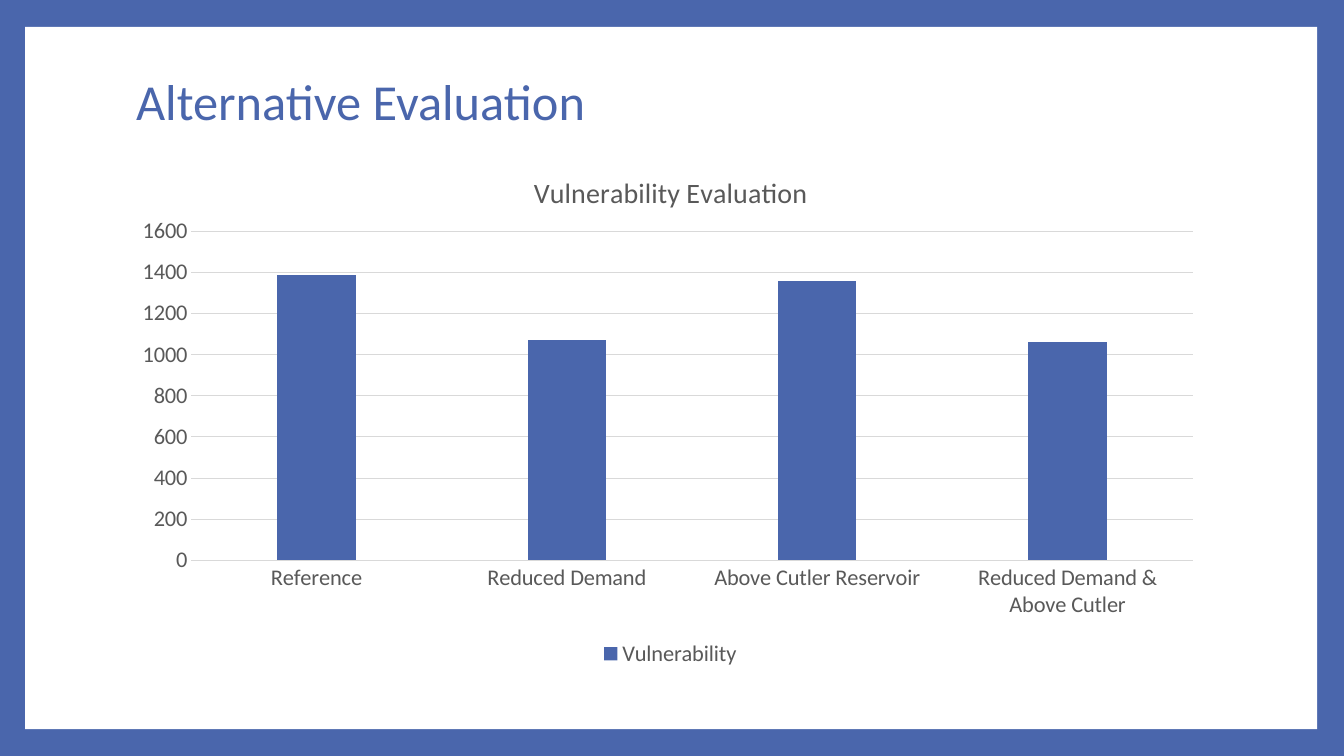
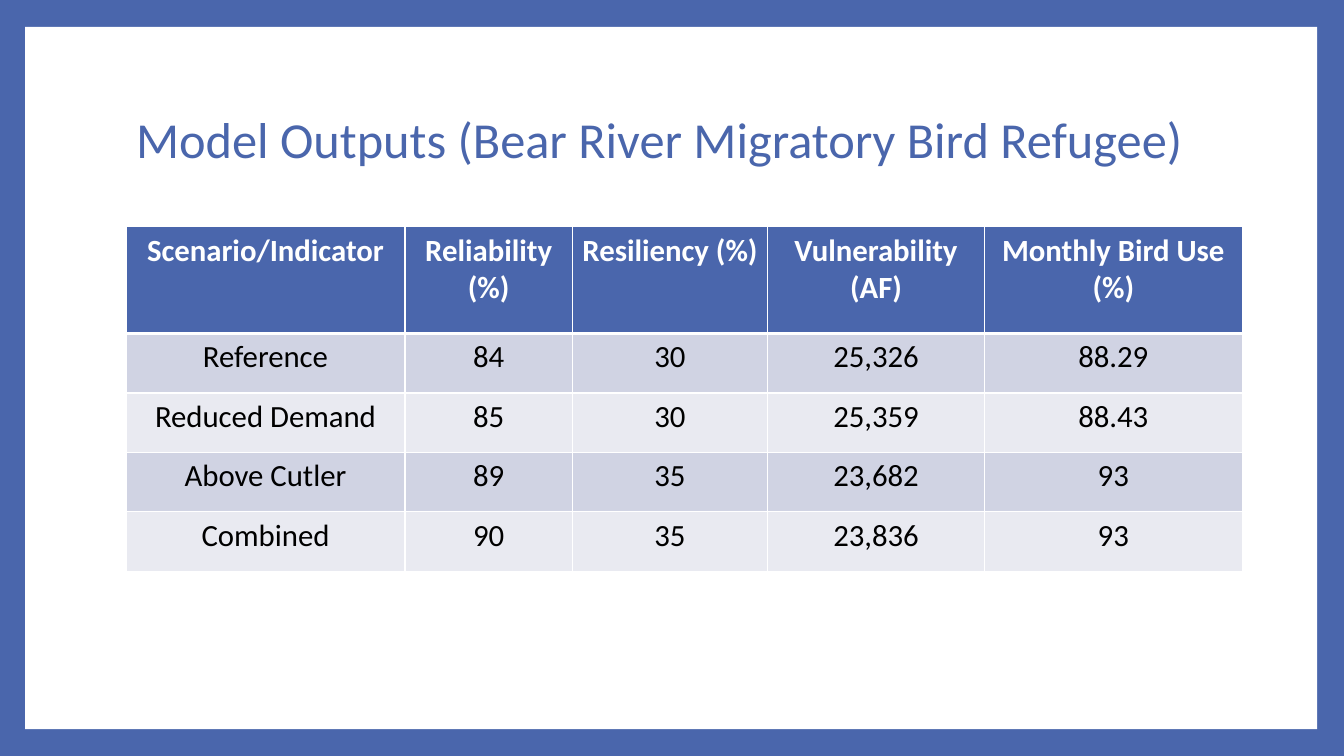
from dataclasses import dataclass

from lxml import etree
from pptx import Presentation
from pptx.chart.data import CategoryChartData
from pptx.dml.color import RGBColor
from pptx.enum.chart import XL_CHART_TYPE, XL_LEGEND_POSITION, XL_TICK_MARK
from pptx.enum.shapes import MSO_SHAPE
from pptx.enum.text import MSO_ANCHOR, PP_ALIGN
from pptx.oxml import parse_xml
from pptx.oxml.ns import nsdecls, qn
from pptx.util import Inches, Pt

COLUMNS = XL_CHART_TYPE.COLUMN_CLUSTERED
LEGEND_BOTTOM = XL_LEGEND_POSITION.BOTTOM
NO_TICK = XL_TICK_MARK.NONE
RECTANGLE = MSO_SHAPE.RECTANGLE
MIDDLE = MSO_ANCHOR.MIDDLE
LEFT, CENTER = PP_ALIGN.LEFT, PP_ALIGN.CENTER
TITLE_ONLY = 5
GRID_UNIT = Inches(1) // 12


@dataclass(frozen=True)
class Theme:
    """Colours, font and type sizes of the deck."""
    blue: str = "4A66AC"
    white: str = "FFFFFF"
    black: str = "000000"
    grey: str = "595959"
    rule: str = "D9D9D9"
    bands: tuple = ("D0D3E3", "E9EAF1")
    font: str = "Calibri"
    title: int = 36
    chart_title: int = 20
    chart_text: int = 16
    table_text: int = 22


@dataclass(frozen=True)
class Box:
    """A region in units of a grid of 160 columns and 90 rows."""
    left: float
    top: float
    width: float
    height: float

    def lengths(self):
        """Return left, top, width and height as slide lengths."""
        return [round(units * GRID_UNIT)
                for units in (self.left, self.top, self.width, self.height)]


THEME = Theme()
PANEL = Box(3, 3.2, 153.8, 83.6)
CHART_TITLE_BAR = Box(15, 8, 129.6, 8.8)
TABLE_TITLE_BAR = Box(15, 8, 129.6, 17.8)
CHART_BOX = Box(15, 16.8, 129.6, 63.2)
TABLE_BOX = Box(15, 27, 132.9, 41)

VULNERABILITY = {
    "Reference": 1390,
    "Reduced Demand": 1070,
    "Above Cutler Reservoir": 1360,
    "Reduced Demand & Above Cutler": 1060,
}
INDICATORS = [
    ("Scenario/Indicator", "Reliability (%)", "Resiliency (%)",
     "Vulnerability (AF)", "Monthly Bird Use (%)"),
    ("Reference", "84", "30", "25,326", "88.29"),
    ("Reduced Demand", "85", "30", "25,359", "88.43"),
    ("Above Cutler", "89", "35", "23,682", "93"),
    ("Combined", "90", "35", "23,836", "93"),
]
COLUMN_SHARES = (2.77, 1.66, 1.94, 2.15, 2.56)
ROW_SHARES = (1.06, 0.59, 0.59, 0.59, 0.59)


def rgb(color):
    """Turn a hex string into a colour."""
    return RGBColor.from_string(color)


def paint(fill, color):
    """Make a fill solid in the given colour."""
    fill.solid()
    fill.fore_color.rgb = rgb(color)


def style_font(font, size, color, bold=False):
    """Set the deck font with a size, colour and weight."""
    font.name = THEME.font
    font.size = Pt(size)
    font.bold = bold
    font.color.rgb = rgb(color)


def frame_master(deck, slide):
    """Give the master a blue background and a white panel."""
    master = deck.slide_master
    paint(master.background.fill, THEME.blue)
    panel = slide.shapes.add_shape(RECTANGLE, *PANEL.lengths())
    panel.shadow.inherit = False
    paint(panel.fill, THEME.white)
    panel.line.fill.background()
    master.shapes.element.insert(2, panel.element)


def set_title(slide, text, box):
    """Place and format the title placeholder."""
    title = slide.shapes.title
    title.left, title.top, title.width, title.height = box.lengths()
    title.text_frame.text = text
    title.text_frame.vertical_anchor = MIDDLE
    para = title.text_frame.paragraphs[0]
    para.alignment = LEFT
    para.line_spacing = 0.9
    style_font(para.font, THEME.title, THEME.blue)


def pin_layout(parent, index, **shares):
    """Fix a chart part at shares of the chart's size."""
    for old in parent.findall(qn("c:layout")):
        parent.remove(old)
    layout = parse_xml(f"<c:layout {nsdecls('c')}><c:manualLayout/></c:layout>")
    settings = {"xMode": "edge", "yMode": "edge", **shares}
    if "w" in shares:
        settings = {"layoutTarget": "inner", **settings}
    for name, value in settings.items():
        etree.SubElement(layout[0], qn(f"c:{name}")).set("val", str(value))
    parent.insert(index, layout)


def style_axis(axis):
    """Format the labels and tick marks of an axis."""
    axis.major_tick_mark = axis.minor_tick_mark = NO_TICK
    style_font(axis.tick_labels.font, THEME.chart_text, THEME.grey)


def style_rule(line):
    """Draw a thin grey chart line."""
    line.color.rgb = rgb(THEME.rule)
    line.width = Pt(0.75)


def add_column_chart(slide, box, heading, name, values):
    """Add a one-series column chart with a heading and legend."""
    data = CategoryChartData()
    data.categories = list(values)
    data.add_series(name, list(values.values()))
    chart = slide.shapes.add_chart(COLUMNS, *box.lengths(), data).chart
    style_font(chart.font, THEME.chart_text, THEME.grey)

    chart.has_title = True
    chart.chart_title.text_frame.text = heading
    style_font(chart.chart_title.text_frame.paragraphs[0].font,
               THEME.chart_title, THEME.grey)
    chart.chart_title.include_in_layout = False
    pin_layout(chart.chart_title.element, 1, x=0.37, y=0.05)
    plot_area = chart.element.find(f".//{qn('c:plotArea')}")
    pin_layout(plot_area, 0, x=0.06, y=0.17, w=0.92, h=0.62)

    chart.has_legend = True
    chart.legend.position = LEGEND_BOTTOM
    chart.legend.include_in_layout = False
    style_font(chart.legend.font, THEME.chart_text, THEME.grey)

    style_axis(chart.category_axis)
    style_rule(chart.category_axis.format.line)
    value_axis = chart.value_axis
    style_axis(value_axis)
    value_axis.minimum_scale, value_axis.maximum_scale = 0, 1600
    value_axis.major_unit = 200
    value_axis.format.line.fill.background()
    style_rule(value_axis.major_gridlines.format.line)

    plot = chart.plots[0]
    plot.vary_by_categories = False
    plot.gap_width, plot.overlap = 219, -27
    paint(plot.series[0].format.fill, THEME.blue)


def set_borders(cell, top, bottom):
    """Draw white cell borders with the given top and bottom widths."""
    properties = cell._tc.get_or_add_tcPr()
    widths = {"lnL": 1, "lnR": 1, "lnT": top, "lnB": bottom}
    for index, (side, width) in enumerate(widths.items()):
        properties.insert(index, parse_xml(
            f'<a:{side} {nsdecls("a")} w="{Pt(width)}"><a:solidFill>'
            f'<a:srgbClr val="{THEME.white}"/></a:solidFill></a:{side}>'))


def add_banded_table(slide, box, rows):
    """Add a table with a blue header and alternating bands."""
    left, top, width, height = box.lengths()
    table = slide.shapes.add_table(
        len(rows), len(rows[0]), left, top, width, height).table
    table.horz_banding = False
    for column, share in zip(table.columns, COLUMN_SHARES):
        column.width = round(width * share / sum(COLUMN_SHARES))
    for row, share in zip(table.rows, ROW_SHARES):
        row.height = round(height * share / sum(ROW_SHARES))
    for row_index, texts in enumerate(rows):
        header = row_index == 0
        fill = THEME.blue if header else THEME.bands[(row_index - 1) % 2]
        color = THEME.white if header else THEME.black
        for column_index, text in enumerate(texts):
            cell = table.cell(row_index, column_index)
            cell.text = text
            para = cell.text_frame.paragraphs[0]
            para.alignment = CENTER
            style_font(para.font, THEME.table_text, color, header)
            paint(cell.fill, fill)
            set_borders(cell, top=3 if row_index == 1 else 1,
                        bottom=3 if header else 1)


def build_deck():
    """Build and save both slides."""
    deck = Presentation()
    deck.slide_width, deck.slide_height = 160 * GRID_UNIT, 90 * GRID_UNIT
    layout = deck.slide_layouts[TITLE_ONLY]

    evaluation = deck.slides.add_slide(layout)
    frame_master(deck, evaluation)
    set_title(evaluation, "Alternative Evaluation", CHART_TITLE_BAR)
    add_column_chart(evaluation, CHART_BOX, "Vulnerability Evaluation",
                     "Vulnerability", VULNERABILITY)

    outputs = deck.slides.add_slide(layout)
    set_title(outputs, "Model Outputs (Bear River Migratory Bird Refugee)",
              TABLE_TITLE_BAR)
    add_banded_table(outputs, TABLE_BOX, INDICATORS)
    deck.save("out.pptx")


build_deck()
